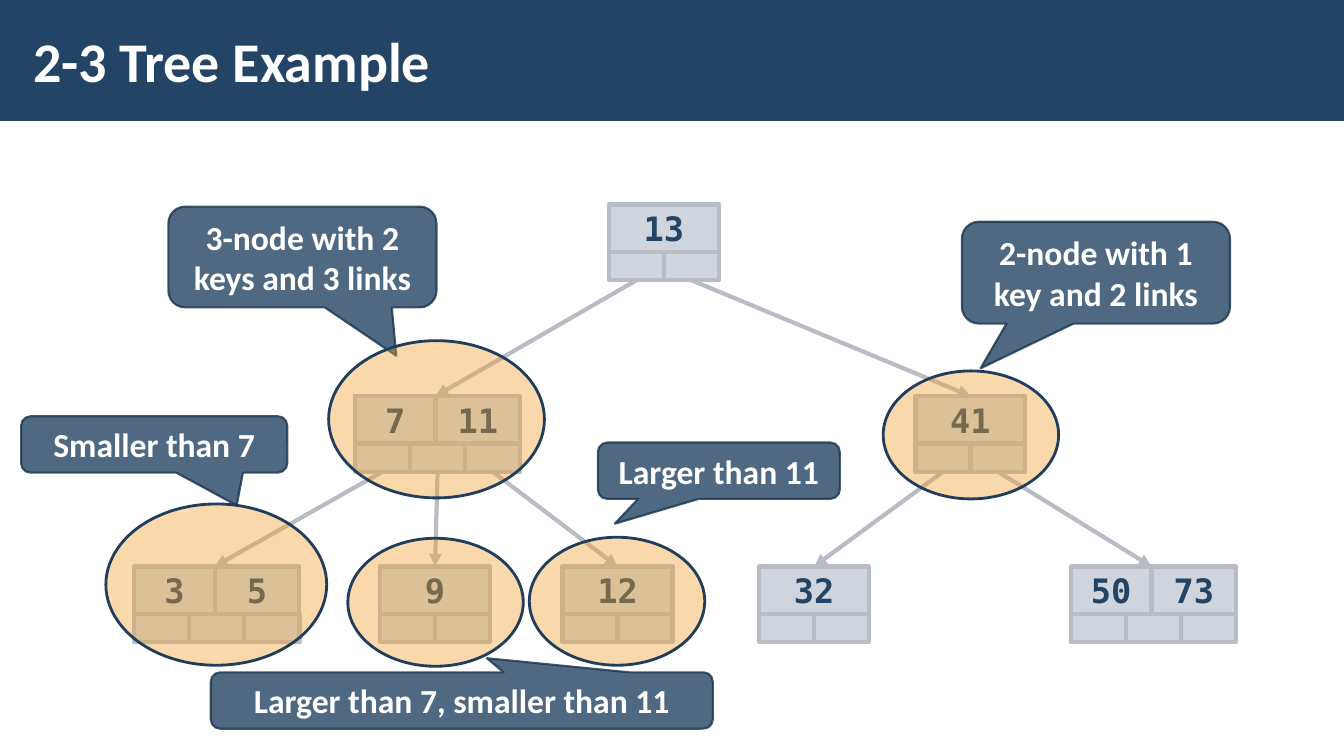
"""Build the 2-3 tree example slide with annotated nodes."""
from dataclasses import dataclass
from itertools import accumulate

from lxml.etree import SubElement
from pptx import Presentation
from pptx.dml.color import RGBColor
from pptx.enum.shapes import MSO_CONNECTOR, MSO_SHAPE
from pptx.enum.text import MSO_ANCHOR, MSO_AUTO_SIZE, PP_ALIGN
from pptx.oxml.ns import qn
from pptx.util import Inches, Pt

TITLE = "2-3 Tree Example"

NODES = {
    "root": (6.04, 0, ["13"]),
    "left": (3.52, 1, ["7", "11"]),
    "right": (9.08, 1, ["41"]),
    "smaller": (1.33, 2, ["3", "5"]),
    "between": (3.77, 2, ["9"]),
    "larger": (5.58, 2, ["12"]),
    "right smaller": (7.53, 2, ["32"]),
    "right larger": (10.62, 2, ["50", "73"]),
}
CHILDREN = {
    "root": ["left", "right"],
    "left": ["smaller", "between", "larger"],
    "right": ["right smaller", "right larger"],
}
ANNOTATIONS = [
    ("3-node with 2 keys and 3 links", (1.67, 2.05, 2.66, 1), (0.35, 0.98)),
    ("", (3.26, 3.38, 2.14, 1.56), None),
    ("", (8.76, 3.68, 1.74, 1.27), None),
    ("2-node with 1 key and 2 links", (9.54, 2.2, 2.66, 1.01), (-0.43, 0.94)),
    ("", (5.25, 5.33, 1.74, 1.27), None),
    ("", (3.45, 5.34, 1.74, 1.27), None),
    ("Larger than 11", (5.93, 4.39, 2.4, 0.56), (-0.43, 0.94)),
    ("Smaller than 7", (0.21, 4.13, 2.64, 0.56), (0.31, 1.08)),
    ("", (1.05, 5, 2.19, 1.6), None),
    ("Larger than 7, smaller than 11", (2.09, 6.67, 4.98, 0.56), (0.05, -0.75)),
]

LEVEL_TOPS = [2.03, 3.93, 5.62]
KEY_WIDTHS = {1: [1.09], 2: [0.8, 0.84]}
KEY_HEIGHT, LINK_HEIGHT = 0.47, 0.28


@dataclass(frozen=True)
class Theme:
    """Colours, fonts and type sizes."""
    navy: str = "234465"
    white: str = "FFFFFF"
    cell: str = "A3ABBC"
    edge: str = "B8BCC4"
    highlight: str = "F0A22E"
    ring: str = "203D5B"
    callout_line: str = "1A334C"
    body_font: str = "Calibri"
    key_font: str = "DejaVu Sans Mono"
    title_size: int = 40
    text_size: int = 24


THEME = Theme()


def set_alpha(solid_fill, percent):
    SubElement(solid_fill[0], qn("a:alpha"), val=str(percent * 1000))


def add_shape(slide, kind, box, fill, opacity=100, line=None, line_width=0):
    shape = slide.shapes.add_shape(kind, *map(Inches, box))
    shape.shadow.inherit = False
    shape.fill.solid()
    shape.fill.fore_color.rgb = RGBColor.from_string(fill)
    if opacity < 100:
        set_alpha(shape.element.spPr.find(qn("a:solidFill")), opacity)
    if line:
        shape.line.color.rgb = RGBColor.from_string(line)
        shape.line.width = Pt(line_width)
    else:
        shape.line.fill.background()
    return shape


def write(shape, text, font, size, color, align=PP_ALIGN.CENTER, wrap=True):
    frame = shape.text_frame
    frame.text = text
    frame.word_wrap = wrap
    frame.auto_size = MSO_AUTO_SIZE.NONE
    frame.vertical_anchor = MSO_ANCHOR.MIDDLE
    paragraph = frame.paragraphs[0]
    paragraph.alignment = align
    style = paragraph.runs[0].font
    style.name, style.size, style.bold = font, Pt(size), True
    style.color.rgb = RGBColor.from_string(color)


def add_title(slide):
    title = slide.shapes.title
    title.left, title.top, title.width, title.height = map(Inches, (0.21, 0.11, 10.4, 0.97))
    write(title, TITLE, THEME.body_font, THEME.title_size, THEME.white, PP_ALIGN.LEFT)
    frame = title.text_frame
    frame.margin_left = frame.margin_right = Inches(0.12)
    frame.margin_top = frame.margin_bottom = Inches(0.04)
    band = add_shape(slide, MSO_SHAPE.RECTANGLE, (0, 0, 13.33, 1.2), THEME.navy)
    title.element.addprevious(band.element)


def add_cell(slide, box):
    return add_shape(slide, MSO_SHAPE.RECTANGLE, box, THEME.cell, 50, THEME.edge, 3)


def link_width(keys):
    return sum(KEY_WIDTHS[len(keys)]) / (len(keys) + 1)


def add_node(slide, left, level, keys):
    top, widths = LEVEL_TOPS[level], KEY_WIDTHS[len(keys)]
    for key, width, offset in zip(keys, widths, accumulate(widths, initial=0)):
        cell = add_cell(slide, (left + offset, top, width, KEY_HEIGHT))
        write(cell, key, THEME.key_font, THEME.text_size, THEME.navy, wrap=False)
    width = link_width(keys)
    for index in range(len(keys) + 1):
        add_cell(slide, (left + index * width, top + KEY_HEIGHT, width, LINK_HEIGHT))


def add_link(slide, parent, index, child):
    left, level, keys = NODES[parent]
    child_left, child_level, child_keys = NODES[child]
    start = (left + (index + 0.5) * link_width(keys),
             LEVEL_TOPS[level] + KEY_HEIGHT + LINK_HEIGHT)
    middle = 0.8 if len(child_keys) == 2 else link_width(child_keys)
    end = (child_left + middle, LEVEL_TOPS[child_level])
    link = slide.shapes.add_connector(MSO_CONNECTOR.STRAIGHT, *map(Inches, start + end))
    link.line.color.rgb = RGBColor.from_string(THEME.edge)
    link.line.width = Pt(3)
    properties = link.element.spPr
    SubElement(properties.find(qn("a:ln")), qn("a:tailEnd"), type="triangle")
    SubElement(properties, qn("a:effectLst"))


def add_annotation(slide, text, box, pointer):
    if not text:
        add_shape(slide, MSO_SHAPE.OVAL, box, THEME.highlight, 40, THEME.ring, 2)
        return
    callout = add_shape(slide, MSO_SHAPE.ROUNDED_RECTANGULAR_CALLOUT, box,
                        THEME.navy, 80, THEME.callout_line, 1.5)
    set_alpha(callout.element.spPr.find(qn("a:ln")).find(qn("a:solidFill")), 80)
    callout.adjustments[0], callout.adjustments[1] = pointer
    write(callout, text, THEME.body_font, THEME.text_size, THEME.white)


def main():
    presentation = Presentation()
    presentation.slide_width, presentation.slide_height = Inches(13.33), Inches(7.5)
    slide = presentation.slides.add_slide(presentation.slide_layouts[5])
    add_title(slide)
    for parent, children in CHILDREN.items():
        for index, child in enumerate(children):
            add_link(slide, parent, index, child)
    for node in NODES.values():
        add_node(slide, *node)
    for annotation in ANNOTATIONS:
        add_annotation(slide, *annotation)
    presentation.save("out.pptx")


if __name__ == "__main__":
    main()
